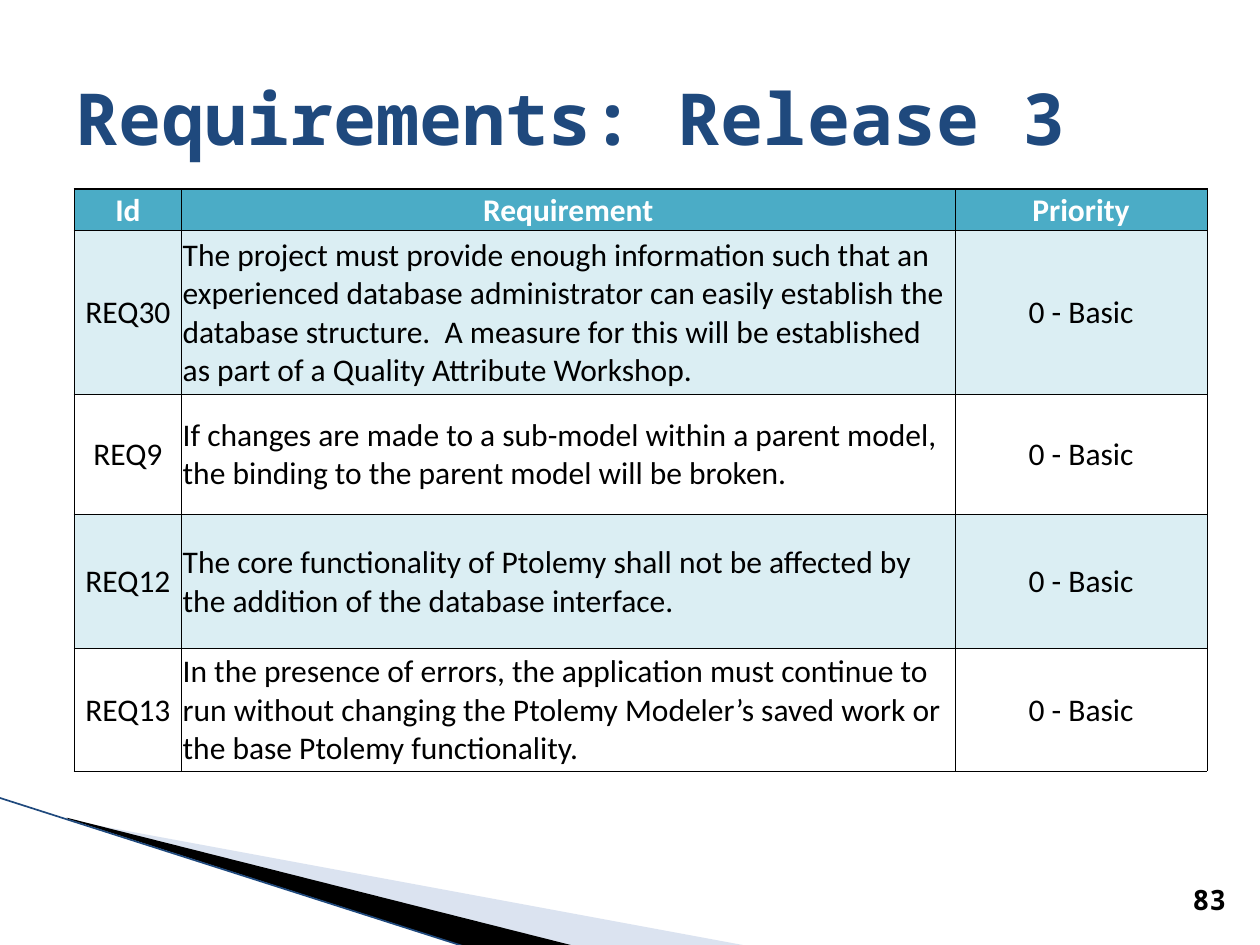
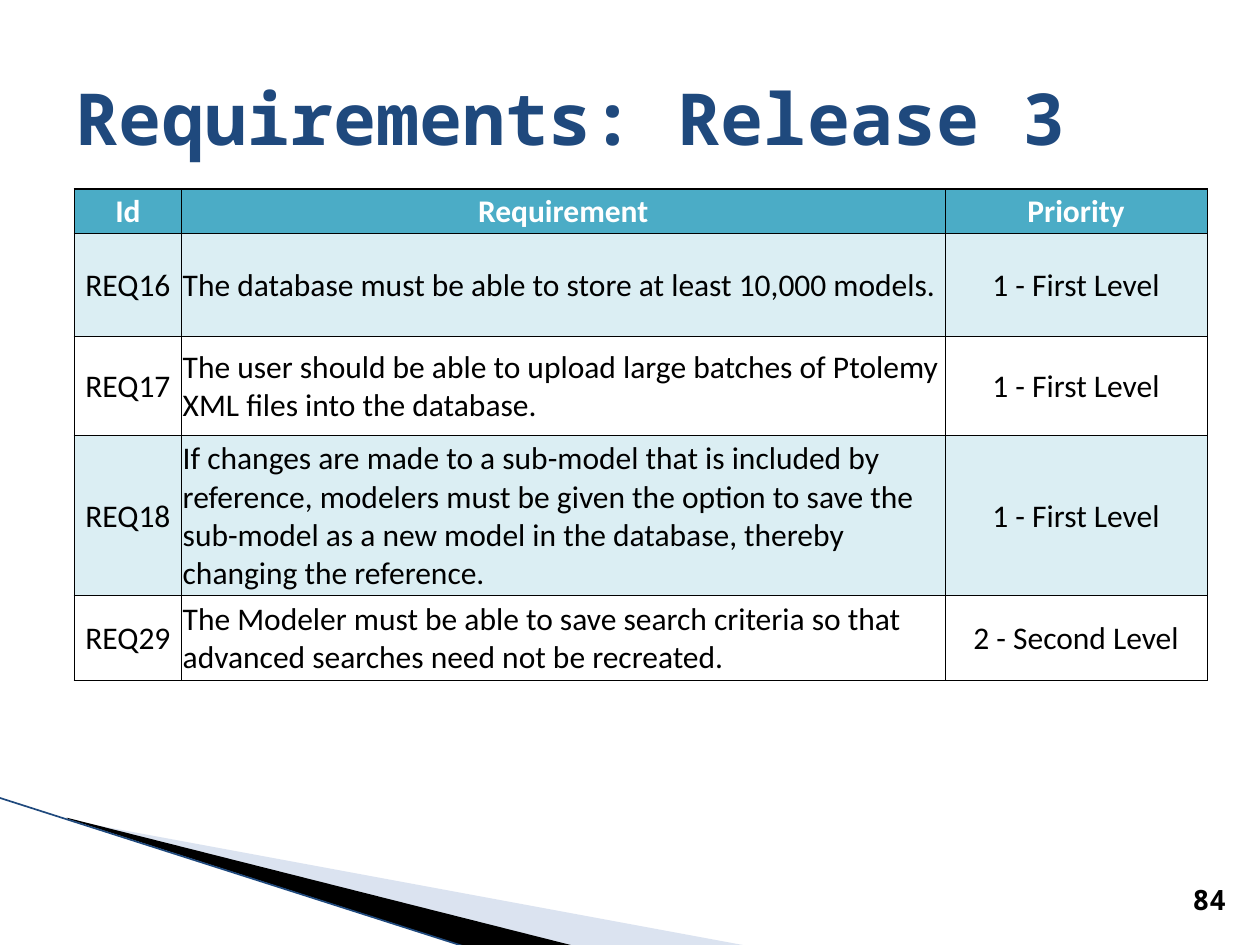
"""Build two requirement slides for release 3."""
import pptx
import pptx.dml.color
import pptx.enum.shapes
import pptx.enum.text
import pptx.oxml
import pptx.oxml.ns
import pptx.util
from lxml import etree

Inches = pptx.util.Inches
ALIGN = pptx.enum.text.PP_ALIGN
ANCHOR = pptx.enum.text.MSO_ANCHOR

COLORS = {
    "title": "1F497D",
    "text": "000000",
    "header_text": "FFFFFF",
    "header": "4BACC6",
    "band": "DBEEF3",
    "wedge_light": "A7B9DB",
    "wedge_dark": "000000",
    "edge": "1F497D",
    "border": "000000",
}
MONO = "Noto Sans Mono"
TITLE = "Requirements: Release 3"
HEADINGS = ("Id", "Requirement", "Priority")

SLIDES = [
    {
        "number": 83,
        "widths": (0.85, 6.14, 2),
        "heights": (0.33, 1.3, 0.95, 1.07, 0.97),
        "requirements": [
            ("REQ30", "The project must provide enough information such that an "
             "experienced database administrator can easily establish the database "
             "structure.  A measure for this will be established as part of a "
             "Quality Attribute Workshop.", "0 - Basic"),
            ("REQ9", "If changes are made to a sub-model within a parent model, "
             "the binding to the parent model will be broken.", "0 - Basic"),
            ("REQ12", "The core functionality of Ptolemy shall not be affected by "
             "the addition of the database interface.", "0 - Basic"),
            ("REQ13", "In the presence of errors, the application must continue to "
             "run without changing the Ptolemy Modeler’s saved work or the base "
             "Ptolemy functionality.", "0 - Basic"),
        ],
    },
    {
        "number": 84,
        "widths": (0.85, 6.06, 2.08),
        "heights": (0.35, 0.82, 0.79, 1.27, 0.67),
        "requirements": [
            ("REQ16", "The database must be able to store at least 10,000 models.",
             "1 - First Level"),
            ("REQ17", "The user should be able to upload large batches of Ptolemy "
             "XML files into the database.", "1 - First Level"),
            ("REQ18", "If changes are made to a sub-model that is included by "
             "reference, modelers must be given the option to save the sub-model as "
             "a new model in the database, thereby changing the reference.",
             "1 - First Level"),
            ("REQ29", "The Modeler must be able to save search criteria so that "
             "advanced searches need not be recreated.", "2 - Second Level"),
        ],
    },
]


def color(name):
    """Return the named colour."""
    return pptx.dml.color.RGBColor.from_string(COLORS[name])


def write_text(frame, text, size=18, font="Calibri", fill="text", bold=False,
               align=ALIGN.LEFT):
    """Write one formatted paragraph into a text frame."""
    frame.word_wrap = True
    paragraph = frame.paragraphs[0]
    paragraph.alignment = align
    run = paragraph.add_run()
    run.text = text
    run.font.size = pptx.util.Pt(size)
    run.font.name = font
    run.font.bold = bold
    run.font.color.rgb = color(fill)


def add_text_box(slide, box, text, anchor, **text_format):
    """Add a text box with formatted text."""
    frame = slide.shapes.add_textbox(*map(Inches, box)).text_frame
    frame.vertical_anchor = anchor
    write_text(frame, text, font=MONO, bold=True, **text_format)


def set_outline_box(shape, box):
    """Give a freeform another box while its outline stays in place."""
    left, top, width, height = map(Inches, box)
    outline = shape._element.spPr.find(".//" + pptx.oxml.ns.qn("a:path"))
    for point in outline.iter(pptx.oxml.ns.qn("a:pt")):
        point.set("x", str(int(point.get("x")) + shape.left - left))
        point.set("y", str(int(point.get("y")) + shape.top - top))
    outline.set("w", str(width))
    outline.set("h", str(height))
    shape.left, shape.top, shape.width, shape.height = left, top, width, height


def add_wedge(slide, box, points, fill, opacity=100):
    """Add a filled outline through points given in inches."""
    corners = [(Inches(x), Inches(y)) for x, y in points]
    builder = slide.shapes.build_freeform(*corners[0])
    builder.add_line_segments(corners[1:])
    shape = builder.convert_to_shape()
    set_outline_box(shape, box)
    shape.shadow.inherit = False
    shape.line.fill.background()
    shape.fill.solid()
    shape.fill.fore_color.rgb = color(fill)
    if opacity < 100:
        tint = shape.fill._xPr.find(".//" + pptx.oxml.ns.qn("a:srgbClr"))
        etree.SubElement(tint, pptx.oxml.ns.qn("a:alpha"), val=str(opacity * 1000))


def add_edge_line(slide, start, end):
    """Add the thin line along the wedges."""
    line = slide.shapes.add_connector(
        pptx.enum.shapes.MSO_CONNECTOR.STRAIGHT, *map(Inches, start + end))
    line.line.color.rgb = color("edge")
    line.line.width = pptx.util.Pt(0.95)
    etree.SubElement(line._element.spPr, pptx.oxml.ns.qn("a:effectLst"))


def set_borders(cell, widths):
    """Draw the cell borders, with a width in points for each side."""
    properties = cell._tc.get_or_add_tcPr()
    for side in "LRTB":
        properties.append(pptx.oxml.parse_xml(
            f'<a:ln{side} {pptx.oxml.ns.nsdecls("a")} w="{pptx.util.Pt(widths[side])}">'
            f'<a:solidFill><a:srgbClr val="{COLORS["border"]}"/></a:solidFill>'
            f'</a:ln{side}>'))


def format_cell(cell, text, row, column):
    """Fill one table cell according to its place."""
    is_header = row == 0
    cell.vertical_anchor = ANCHOR.MIDDLE
    cell.margin_left = cell.margin_right = cell.margin_top = Inches(0.01)
    cell.margin_bottom = 0
    set_borders(cell, {"L": 0.5 if column else 1, "R": 0.5,
                       "T": 1 if is_header else 0.5, "B": 0.5})
    if is_header or row % 2:
        cell.fill.solid()
        cell.fill.fore_color.rgb = color("header" if is_header else "band")
    else:
        cell.fill.background()
    is_body_text = column == 1 and not is_header
    write_text(cell.text_frame, text, bold=is_header,
               fill="header_text" if is_header else "text",
               align=ALIGN.LEFT if is_body_text else ALIGN.CENTER)


def add_requirements_table(slide, widths, heights, requirements):
    """Add the table of requirements with its heading row."""
    rows = [HEADINGS, *requirements]
    table = slide.shapes.add_table(
        len(rows), len(widths), Inches(0.59), Inches(1.5),
        Inches(sum(widths)), Inches(sum(heights))).table
    table.horz_banding = False
    for column, width in zip(table.columns, widths):
        column.width = Inches(width)
    for row, height in zip(table.rows, heights):
        row.height = Inches(height)
    for row, texts in enumerate(rows):
        for column, text in enumerate(texts):
            format_cell(table.cell(row, column), text, row, column)


def add_frame(slide, number):
    """Add the wedges, page number and title that every slide shares."""
    add_wedge(slide, (0.78, 5.47, 4.16, 1.58),
              [(0.55, 6.51), (5.95, 7.51), (4.56, 7.51), (0.55, 6.5)],
              "wedge_light", opacity=40)
    add_wedge(slide, (-0.06, 6.33, 4.16, 0.92),
              [(0.53, 6.49), (4.57, 7.51), (3.72, 7.52), (0.54, 6.5)],
              "wedge_dark")
    add_edge_line(slide, (-0.01, 6.33), (3.71, 7.52))
    add_text_box(slide, (9.31, 6.83, 0.52, 0.49), str(number), ANCHOR.BOTTOM,
                 size=16, align=ALIGN.RIGHT)
    add_text_box(slide, (0.5, 0.3, 9, 1.25), TITLE, ANCHOR.MIDDLE,
                 size=41, fill="title")


def main():
    """Build and save the presentation."""
    presentation = pptx.Presentation()
    presentation.slide_width = Inches(10)
    presentation.slide_height = Inches(7.5)
    for content in SLIDES:
        slide = presentation.slides.add_slide(presentation.slide_layouts[6])
        add_frame(slide, content["number"])
        add_requirements_table(slide, content["widths"], content["heights"],
                               content["requirements"])
    presentation.save("out.pptx")


if __name__ == "__main__":
    main()
